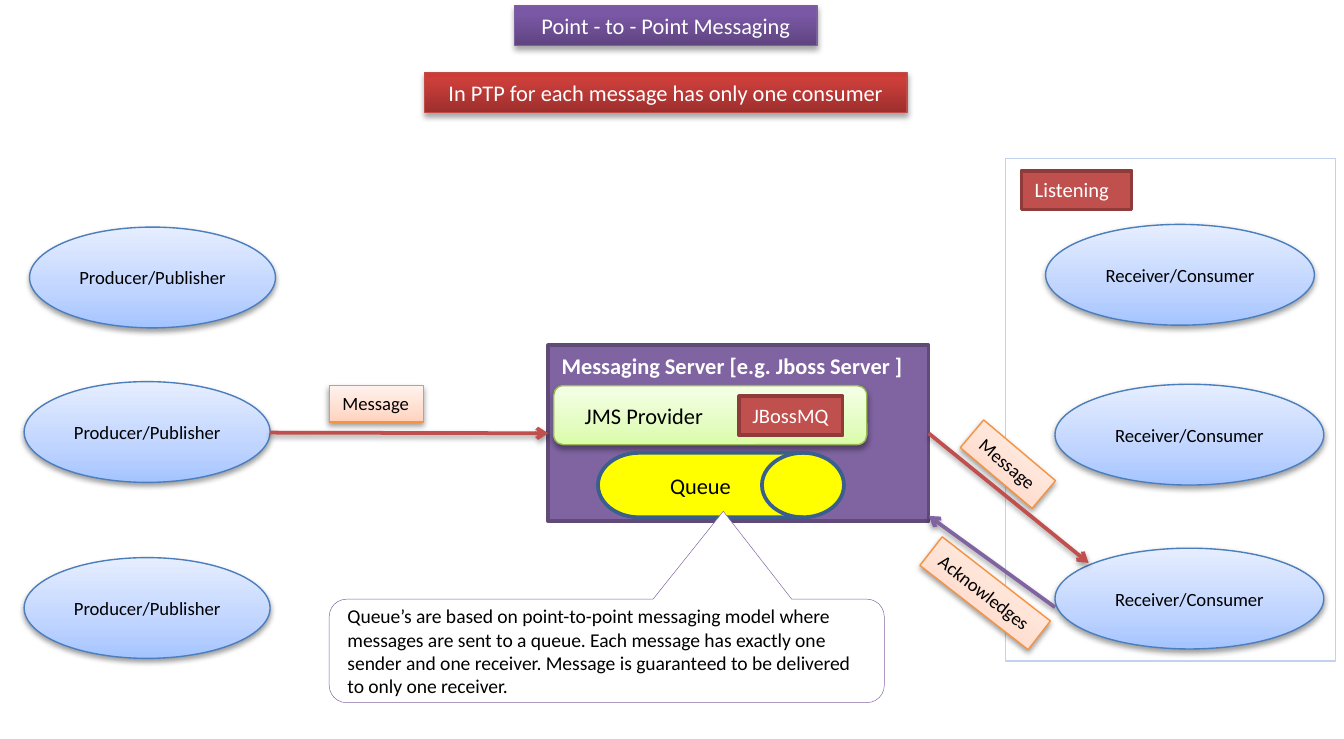
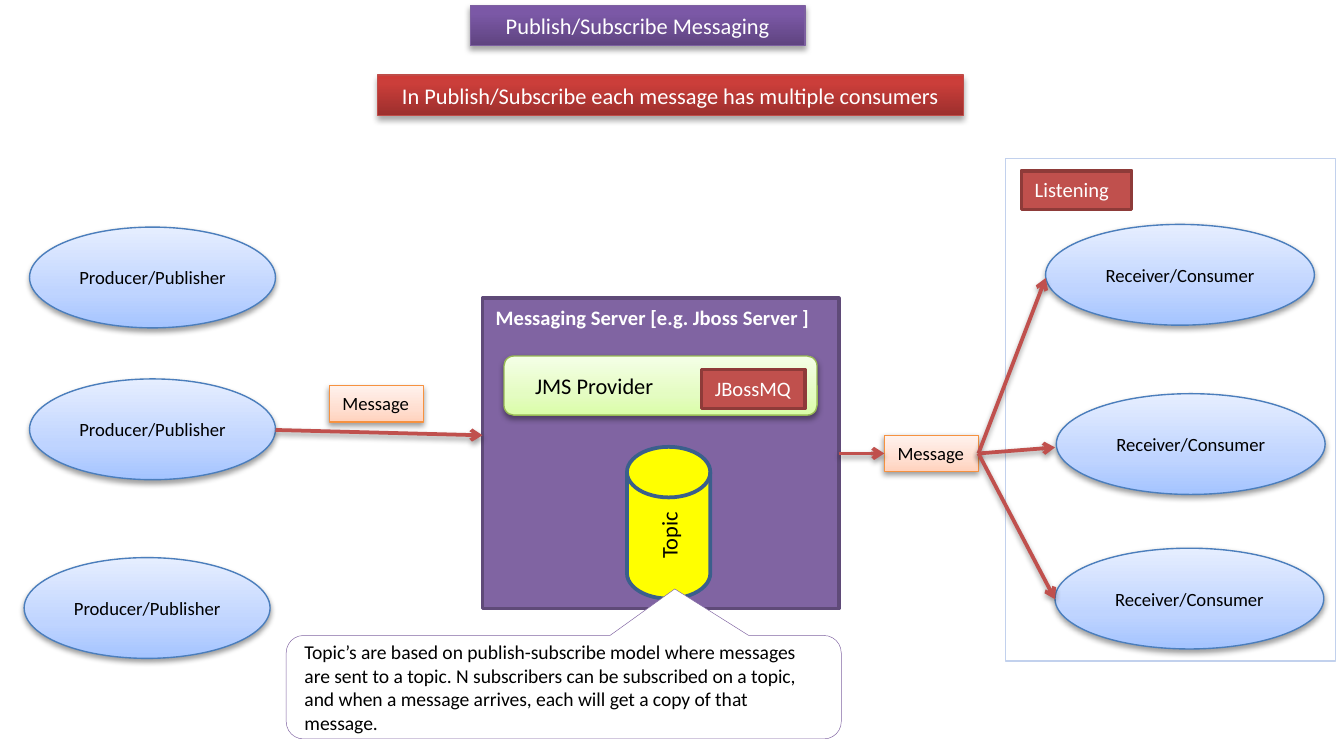
from dataclasses import dataclass

from lxml import etree
from pptx import Presentation
from pptx import util as u
from pptx.dml.color import RGBColor
from pptx.enum import shapes, text
from pptx.oxml import ns

WIDTH, HEIGHT = u.Inches(10), u.Inches(5.5)
COL, ROW = WIDTH / 100, HEIGHT / 55
FONT = "Calibri"

WHITE = RGBColor(0xFF, 0xFF, 0xFF)
BLACK = RGBColor(0x00, 0x00, 0x00)
YELLOW = RGBColor(0xFF, 0xFF, 0x00)
RED = RGBColor(0xC0, 0x50, 0x4D)
RED_EDGE = RGBColor(0xBF, 0x4C, 0x48)
DARK_RED = RGBColor(0x8E, 0x3B, 0x39)
PURPLE = RGBColor(0x80, 0x64, 0xA2)
PURPLE_EDGE = RGBColor(0x7D, 0x60, 0xA0)
DARK_PURPLE = RGBColor(0x5F, 0x4A, 0x78)
GREEN_EDGE = RGBColor(0x98, 0xB9, 0x55)
BLUE_EDGE = RGBColor(0x4B, 0x7E, 0xBC)
DARK_BLUE = RGBColor(0x3A, 0x5F, 0x8C)
PALE_BLUE = RGBColor(0xC2, 0xD1, 0xED)
ORANGE_EDGE = RGBColor(0xF6, 0x92, 0x40)

PURPLE_FADE = [(0, "5F4480"), (80, "7B58A6"), (100, "7C57A8")]
RED_FADE = [(0, "9C2F2D"), (80, "CB3E3A"), (100, "CE3B37")]
GREEN_FADE = [(0, "DAFDA7"), (35, "E4FCC2"), (100, "F5FFE7")]
BLUE_FADE = [(0, "A4C4FF"), (35, "BFD4FF"), (100, "E6EEFF")]
ORANGE_FADE = [(0, "FFD2BD"), (35, "FFDED0"), (100, "FFF2ED")]

SOFT = (38, 1.6)
STRONG = (35, 1.8)
TOP, LEFT, BOTTOM, RIGHT = range(4)
SHAPE = shapes.MSO_SHAPE


@dataclass
class Style:
    fill: object
    line: RGBColor
    width: float = 0.75
    size: float = 10
    color: RGBColor = BLACK
    shape: int = SHAPE.RECTANGLE
    bold: bool = False
    centred: bool = False
    middle: bool = False
    wrap: bool = True
    shadow: tuple = None
    inset: float = 0.1


STYLES = {
    "title": Style(PURPLE_FADE, PURPLE_EDGE, size=12, color=WHITE,
                   centred=True, shadow=STRONG),
    "rule": Style(RED_FADE, RED_EDGE, size=12, color=WHITE,
                  centred=True, shadow=STRONG),
    "panel": Style(None, PALE_BLUE),
    "tag": Style(RED, DARK_RED, 2, 11, WHITE, wrap=False),
    "server": Style(PURPLE, DARK_PURPLE, 2, 12, WHITE, bold=True),
    "provider": Style(GREEN_FADE, GREEN_EDGE, size=12, shadow=SOFT, middle=True,
                      shape=SHAPE.ROUNDED_RECTANGLE, inset=0.21),
    "store": Style(YELLOW, DARK_BLUE, 2, 12, centred=True, middle=True,
                   shape=SHAPE.FLOWCHART_DIRECT_ACCESS_STORAGE),
    "client": Style(BLUE_FADE, BLUE_EDGE, centred=True, middle=True,
                    shape=SHAPE.OVAL, shadow=SOFT),
    "label": Style(ORANGE_FADE, ORANGE_EDGE, wrap=False, shadow=SOFT),
    "callout": Style(WHITE, PURPLE, 0.25, 10.5, middle=True,
                     shape=SHAPE.ROUNDED_RECTANGULAR_CALLOUT),
}

PANEL = (74.8, 11.8, 24.6, 37.4)
LISTENING = (76, 12.7, 8.2, 2.9)
PROVIDER_SIZE = (23.3, 4.4)
MQ_SIZE = (7.7, 2.9)
PRODUCER_SIZE = (18.3, 7.5)
RECEIVER_SIZE = (20, 7.5)
MESSAGE_SIZE = (7, 2.7)
CALLOUT_SIZE = (41.3, 7.7)

SLIDES = [
    {
        "title": ("Point - to - Point Messaging", (38.3, 0.4, 22.5, 3)),
        "rule": ("In PTP for each message has only one consumer",
                 (31.6, 5.4, 35.9, 3)),
        "server": ((40.8, 25.7, 28.3, 13.1), 12),
        "provider": (41.2, 28.7),
        "mq": (55, 29.5),
        "store": ("Queue", (44.5, 33.7, 18.3, 4.8), 0),
        "producers": [(2.2, 16.9), (1.8, 28.4), (1.8, 41.5)],
        "receivers": [(77.8, 16.7), (78.5, 28.6), (78.5, 40.8)],
        "labels": {
            "sent": ("Message", (24.5, 28.7, *MESSAGE_SIZE), 0),
            "delivered": ("Message", (71.5, 33.2, *MESSAGE_SIZE), 40.2),
            "confirmed": ("Acknowledges", (68.2, 42.8, 10.2, 2.7), 37.9),
        },
        "arrows": [
            ((20.1, 32.2), ("server", LEFT), RED),
            (("server", RIGHT), (81, 41.9), RED),
            ((78.5, 45.2), (69.1, 38.4), PURPLE),
        ],
        "callout": ("Queue’s are based on point-to-point messaging model where "
                    "messages are sent to a queue. Each message has exactly one "
                    "sender and one receiver. Message is guaranteed to be "
                    "delivered to only one receiver.",
                    (24.5, 44.6), (0.21, -1.35)),
    },
    {
        "title": ("Publish/Subscribe Messaging", (35, 0.4, 24.9, 3)),
        "rule": ("In Publish/Subscribe each message has multiple consumers",
                 (28.1, 5.6, 43.6, 3)),
        "server": ((35.9, 22.2, 26.5, 23.1), 11),
        "provider": (37.5, 26.5),
        "mq": (52.2, 27.5),
        "store": ("Topic", (44.1, 35.8, 11.3, 6.2), 270),
        "producers": [(2.2, 16.9), (2.2, 28.2), (1.8, 41.5)],
        "receivers": [(77.8, 16.7), (78.6, 29.3), (78.5, 40.8)],
        "labels": {
            "sent": ("Message", (24.5, 28.7, *MESSAGE_SIZE), 0),
            "delivered": ("Message", (65.8, 32.4, *MESSAGE_SIZE), 0),
        },
        "arrows": [
            ((20.5, 32), (35.9, 32.4), RED),
            (("server", RIGHT), ("delivered", LEFT), RED),
            (("delivered", RIGHT), (77.8, 20.7), RED),
            (("delivered", RIGHT), (78.5, 33.3), RED),
            (("delivered", RIGHT), (78.5, 44.6), RED),
        ],
        "callout": ("Topic’s are based on publish-subscribe model where messages "
                    "are sent to a topic. N subscribers can be subscribed on a "
                    "topic, and when a message arrives, each will get a copy of "
                    "that message.",
                    (21.3, 47.3), (0.2, -0.95)),
    },
]


def element(parent, tag, **attrs):
    return etree.SubElement(parent, ns.qn(tag),
                            {k: str(v) for k, v in attrs.items()})


def place(x, y):
    return round(x * COL), round(y * ROW)


def fade(fill, stops):
    fill.gradient()
    fill.gradient_angle = 90
    stop_list = fill._xPr.find(".//" + ns.qn("a:gsLst"))
    for stop in list(stop_list):
        stop_list.remove(stop)
    for share, color in stops:
        stop = element(stop_list, "a:gs", pos=share * 1000)
        element(stop, "a:srgbClr", val=color)


def cast_shadow(effects, alpha, distance):
    shadow = element(effects, "a:outerShdw", blurRad=u.Pt(3.1),
                     dist=u.Pt(distance), dir=5400000, rotWithShape=0)
    color = element(shadow, "a:srgbClr", val="000000")
    element(color, "a:alpha", val=alpha * 1000)


def add_part(slide, kind, words, box, size=None, rotation=0):
    style = STYLES[kind]
    x, y, w, h = box
    sp = slide.shapes.add_shape(style.shape, *place(x, y), *place(w, h))
    sp.rotation = rotation
    sp.shadow.inherit = False
    if style.fill is None:
        sp.fill.background()
    elif isinstance(style.fill, list):
        fade(sp.fill, style.fill)
    else:
        sp.fill.solid()
        sp.fill.fore_color.rgb = style.fill
    sp.line.color.rgb = style.line
    sp.line.width = u.Pt(style.width)
    if style.shadow:
        cast_shadow(sp._element.spPr.find(ns.qn("a:effectLst")), *style.shadow)
    if words:
        tf = sp.text_frame
        tf.word_wrap = style.wrap
        tf.margin_left = u.Inches(style.inset)
        tf.vertical_anchor = (text.MSO_ANCHOR.MIDDLE if style.middle
                              else text.MSO_ANCHOR.TOP)
        p = tf.paragraphs[0]
        p.alignment = text.PP_ALIGN.CENTER if style.centred else text.PP_ALIGN.LEFT
        r = p.add_run()
        r.text = words
        r.font.name = FONT
        r.font.size = u.Pt(size or style.size)
        r.font.bold = style.bold
        r.font.color.rgb = style.color
    return sp


def add_arrow(slide, start, end, color, parts):
    joined = [isinstance(point[0], str) for point in (start, end)]
    ends = [(0, 0) if glued else place(*point)
            for glued, point in zip(joined, (start, end))]
    line = slide.shapes.add_connector(shapes.MSO_CONNECTOR.STRAIGHT,
                                      *ends[0], *ends[1])
    if joined[0]:
        line.begin_connect(parts[start[0]], start[1])
    if joined[1]:
        line.end_connect(parts[end[0]], end[1])
    line.line.color.rgb = color
    line.line.width = u.Pt(2)
    element(line.line._get_or_add_ln(), "a:tailEnd", type="arrow")
    cast_shadow(element(line._element.spPr, "a:effectLst"), *SOFT)


def build_slide(prs, data):
    slide = prs.slides.add_slide(prs.slide_layouts[6])
    add_part(slide, "panel", "", PANEL)
    add_part(slide, "tag", "Listening", LISTENING)
    for kind in ("title", "rule"):
        add_part(slide, kind, *data[kind])

    server_box, server_size = data["server"]
    parts = {"server": add_part(slide, "server",
                                "Messaging Server [e.g. Jboss Server ]",
                                server_box, server_size)}
    add_part(slide, "provider", "JMS Provider", data["provider"] + PROVIDER_SIZE)
    add_part(slide, "tag", "JBossMQ", data["mq"] + MQ_SIZE)
    name, box, rotation = data["store"]
    add_part(slide, "store", name, box, rotation=rotation)

    for corner in data["producers"]:
        add_part(slide, "client", "Producer/Publisher", corner + PRODUCER_SIZE)
    for corner in data["receivers"]:
        add_part(slide, "client", "Receiver/Consumer", corner + RECEIVER_SIZE)

    for key, (words, box, rotation) in data["labels"].items():
        parts[key] = add_part(slide, "label", words, box, rotation=rotation)
    for start, end, color in data["arrows"]:
        add_arrow(slide, start, end, color, parts)

    words, corner, tip = data["callout"]
    callout = add_part(slide, "callout", words, corner + CALLOUT_SIZE)
    callout.adjustments[0], callout.adjustments[1] = tip


def main():
    prs = Presentation()
    prs.slide_width, prs.slide_height = WIDTH, HEIGHT
    for data in SLIDES:
        build_slide(prs, data)
    prs.save("out.pptx")


if __name__ == "__main__":
    main()
